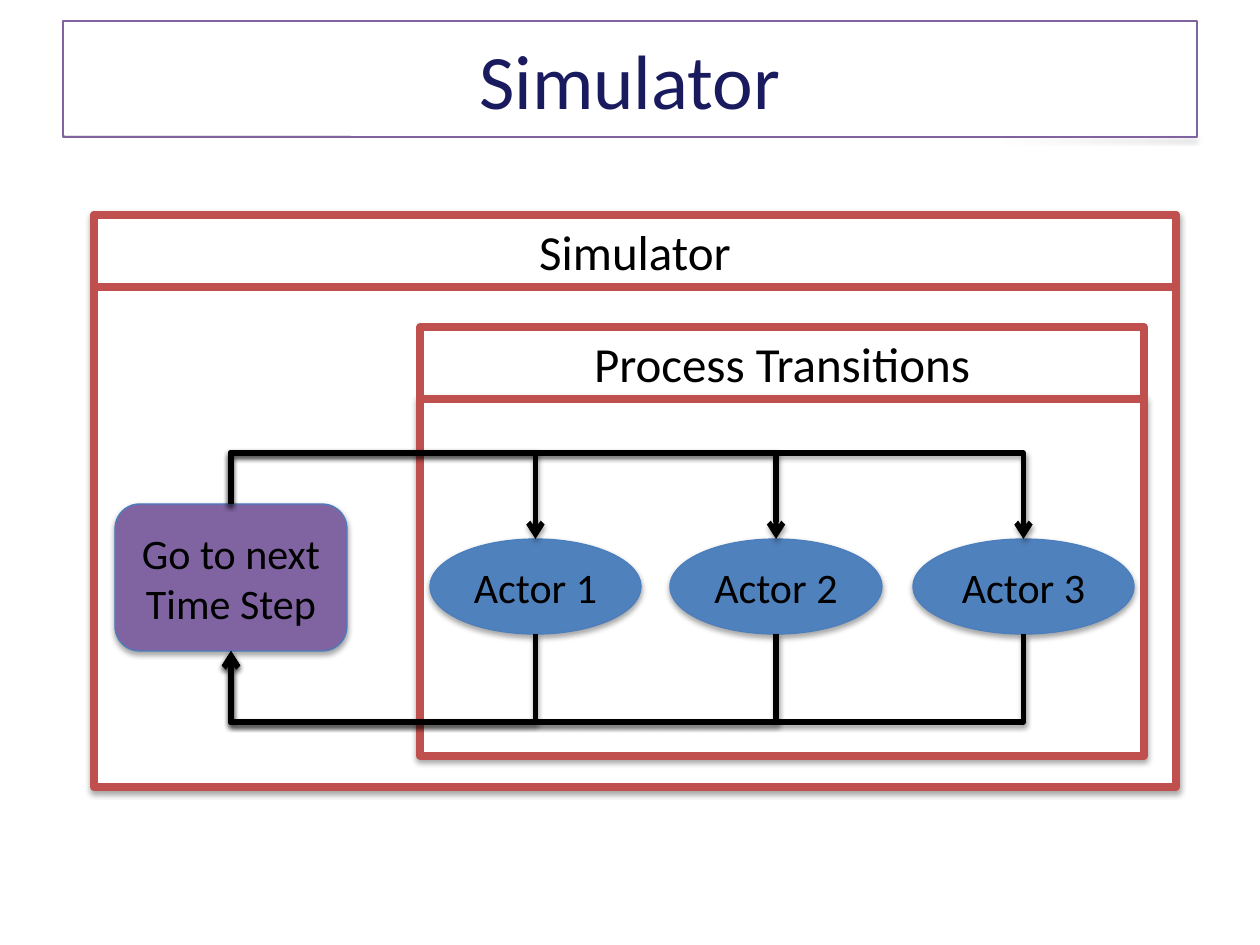
from lxml.etree import SubElement
from pptx import Presentation
from pptx.dml.color import RGBColor
from pptx.enum.shapes import MSO_CONNECTOR, MSO_SHAPE
from pptx.enum.text import MSO_ANCHOR, PP_ALIGN
from pptx.oxml.ns import qn
from pptx.util import Emu, Pt

EMU_PER_PIXEL = 914400 / 126


def px(length):
    return Emu(round(length * EMU_PER_PIXEL))


def color(value):
    return RGBColor.from_string(value)


class Diagram:
    font = "Calibri"
    black, red, blue, purple = "000000", "C0504D", "4F81BD", "8064A2"
    navy, edge, white = "191B5E", "4B7EBC", "FFFFFF"

    def __init__(self, page):
        self.page = page

    def shadow(self, item, alpha, distance):
        """Give a shape or connector a soft shadow below it."""
        effects = SubElement(item._element.spPr, qn("a:effectLst"))
        if alpha:
            outer = SubElement(effects, qn("a:outerShdw"), blurRad="40000",
                               dist=str(distance), dir="5400000", rotWithShape="0")
            tint = SubElement(outer, qn("a:srgbClr"), val=self.black)
            SubElement(tint, qn("a:alpha"), val=str(alpha * 1000))

    def box(self, kind, left, top, width, height, fill, line, weight, shadow=35):
        box = self.page.shapes.add_shape(kind, px(left), px(top), px(width), px(height))
        if fill:
            box.fill.solid()
            box.fill.fore_color.rgb = color(fill)
        else:
            box.fill.background()
        box.line.color.rgb = color(line)
        box.line.width = Pt(weight)
        self.shadow(box, shadow, 23000)
        return box

    def text(self, box, words, size, ink=black, anchor=MSO_ANCHOR.MIDDLE):
        frame = box.text_frame
        frame.word_wrap = True
        frame.vertical_anchor = anchor
        para = frame.paragraphs[0]
        para.alignment = PP_ALIGN.CENTER
        span = para.add_run()
        span.text = words
        span.font.name = self.font
        span.font.size = Pt(size)
        span.font.color.rgb = color(ink)

    def frame(self, left, top, width, height):
        self.box(MSO_SHAPE.RECTANGLE, left, top, width, height, self.white, self.red, 4.5)

    def header(self, words, left, top, width):
        box = self.box(MSO_SHAPE.RECTANGLE, left, top, width, 72, None, self.red, 4.5, 0)
        self.text(box, words, 28, anchor=MSO_ANCHOR.TOP)

    def node(self, kind, words, left, top, width, height, fill):
        box = self.box(kind, left, top, width, height, fill, self.edge, 0.75)
        self.text(box, words, 24)

    def line(self, kind, x1, y1, x2, y2, ink, weight):
        link = self.page.shapes.add_connector(kind, px(x1), px(y1), px(x2), px(y2))
        link.line.color.rgb = color(ink)
        link.line.width = Pt(weight)
        return link

    def rule(self, x1, y1, x2, y2):
        self.shadow(self.line(MSO_CONNECTOR.STRAIGHT, x1, y1, x2, y2, "1A1C47", 0.25), 38, 20000)

    def loop_arrow(self, x1, y1, x2, y2, lane):
        """Leave vertically, run along the lane, and enter vertically."""
        link = self.line(MSO_CONNECTOR.ELBOW, x1, y1, x2, y2, self.black, 3)
        # The elbow is drawn lying down, then turned about its centre
        run, rise = abs(x2 - x1), y2 - y1
        link.left, link.top = px((x1 + x2 - rise) / 2), px((y1 + y2 - run) / 2)
        link.width, link.height = px(rise), px(run)
        turn = link._element.spPr.find(qn("a:xfrm"))
        turn.set("rot", str((270 if x2 > x1 else 90) * 60000))
        turn.set("flipH", "1" if x2 > x1 else "0")
        geometry = link._element.spPr.find(qn("a:prstGeom"))
        guides = geometry.find(qn("a:avLst"))
        bend = round((lane - y1) / rise * 100000)
        SubElement(guides, qn("a:gd"), name="adj1", fmla=f"val {bend}")
        SubElement(link.line._get_or_add_ln(), qn("a:tailEnd"), type="arrow")
        self.shadow(link, 38, 20000)


deck = Presentation()
deck.slide_width, deck.slide_height = px(1260), px(945)
page = deck.slides.add_slide(deck.slide_layouts[6])
diagram = Diagram(page)

# Title
diagram.rule(63, 136, 1197, 137)
title = diagram.box(MSO_SHAPE.RECTANGLE, 63, 21, 1134, 116, None, diagram.purple, 0.75, 0)
diagram.text(title, "Simulator", 44, diagram.navy)

# Frames
diagram.frame(94, 215, 1082, 572)
diagram.frame(420, 399, 724, 357)

# Actors and time step
actor_top, actor_height = 539, 95
actors = [("Actor 1", 430, 211), ("Actor 2", 670, 212), ("Actor 3", 913, 221)]
for name, left, width in actors:
    diagram.node(MSO_SHAPE.OVAL, name, left, actor_top, width, actor_height, diagram.blue)
step_left, step_top, step_width, step_height = 115, 504, 232, 147
diagram.node(MSO_SHAPE.ROUNDED_RECTANGLE, "Go to next Time Step",
             step_left, step_top, step_width, step_height, diagram.purple)

# Arrows out to every actor and back
step_center = step_left + step_width / 2
centers = [left + width / 2 for name, left, width in actors]
for center in centers:
    diagram.loop_arrow(step_center, step_top, center, actor_top, 453)
for center in centers:
    diagram.loop_arrow(center, actor_top + actor_height,
                       step_center, step_top + step_height, 722)

# Frame headers
diagram.header("Simulator", 94, 215, 1082)
diagram.header("Process Transitions", 420, 327, 724)

deck.save("out.pptx")
